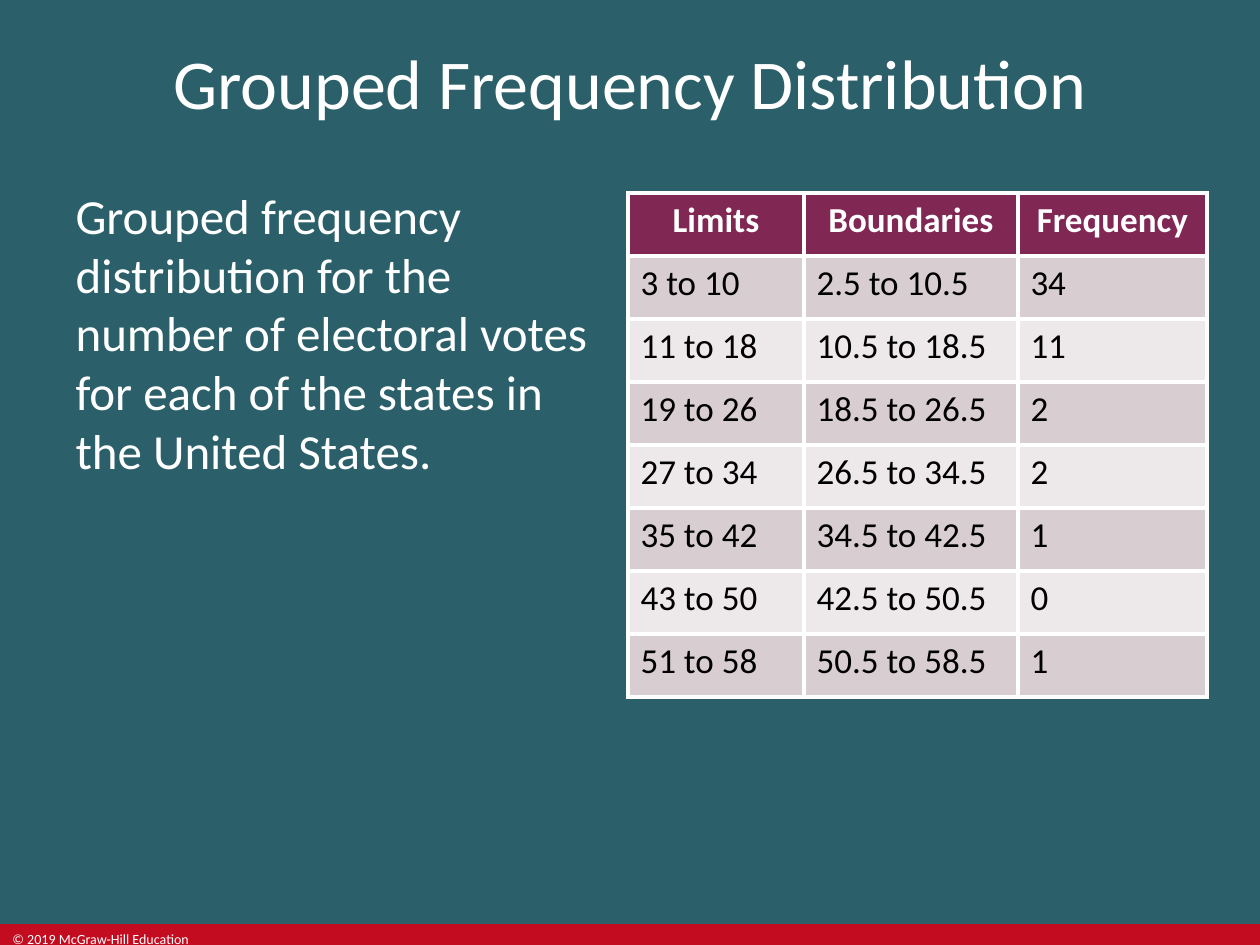
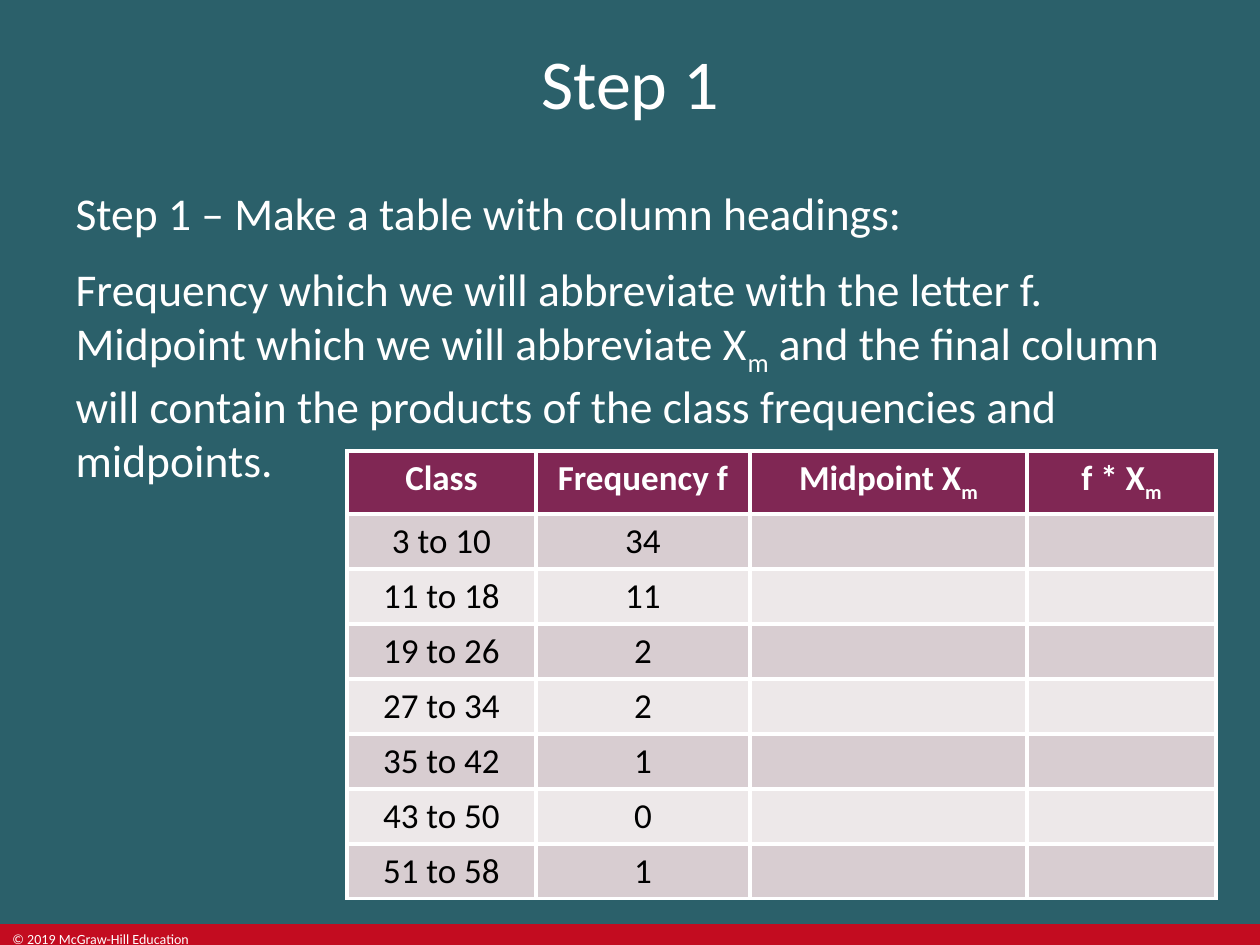
from lxml.etree import SubElement
from pptx import Presentation
from pptx.dml.color import RGBColor
from pptx.enum.shapes import MSO_SHAPE
from pptx.enum.text import MSO_ANCHOR, MSO_AUTO_SIZE, PP_ALIGN
from pptx.oxml.ns import qn
from pptx.util import Emu, Pt

EMU_PER_PX = 914400 / 126
SLIDE_WIDTH, SLIDE_HEIGHT = 1260, 945
FONT = "Calibri"

TEAL = RGBColor(0x2B, 0x60, 0x6A)
RED = RGBColor(0xC3, 0x0C, 0x20)
PLUM = RGBColor(0x80, 0x27, 0x54)
DARK_BAND = RGBColor(0xD8, 0xCD, 0xD1)
LIGHT_BAND = RGBColor(0xED, 0xE8, 0xE9)
WHITE = RGBColor(0xFF, 0xFF, 0xFF)
BLACK = RGBColor(0x00, 0x00, 0x00)

TITLE_BOX = (0, 0, SLIDE_WIDTH, 164)
FOOTER_BOX = (0, 924, SLIDE_WIDTH, 21)
COPYRIGHT_WIDTH = 214

CLASSES = [
    ("3 to 10", "2.5 to 10.5", "34"),
    ("11 to 18", "10.5 to 18.5", "11"),
    ("19 to 26", "18.5 to 26.5", "2"),
    ("27 to 34", "26.5 to 34.5", "2"),
    ("35 to 42", "34.5 to 42.5", "1"),
    ("43 to 50", "42.5 to 50.5", "0"),
    ("51 to 58", "50.5 to 58.5", "1"),
]


def px(length):
    return Emu(round(length * EMU_PER_PX))


def place(shape, box):
    shape.left, shape.top, shape.width, shape.height = map(px, box)


def add_runs(paragraph, text, size, color=WHITE, bold=False):
    """Add text as runs; a part between bars is a subscript."""
    for index, part in enumerate(text.split("|")):
        if not part:
            continue
        run = paragraph.add_run()
        run.text = part
        run.font.name = FONT
        run.font.size = Pt(size)
        run.font.bold = bold
        run.font.color.rgb = color
        if index % 2:
            run.font._element.set("baseline", "-25000")


def add_footer(slide, box):
    left, top, width, height = box
    band = slide.shapes.add_shape(MSO_SHAPE.RECTANGLE, *map(px, box))
    band.shadow.inherit = False
    band.fill.solid()
    band.fill.fore_color.rgb = RED
    band.line.fill.background()
    copyright_box = slide.shapes.add_textbox(*map(px, (left, top, COPYRIGHT_WIDTH, height)))
    copyright_box.text_frame.word_wrap = True
    add_runs(copyright_box.text_frame.paragraphs[0], "© 2019 McGraw-Hill Education", 8)


def add_title(slide, text, box):
    title = slide.shapes.title
    place(title, box)
    frame = title.text_frame
    frame.auto_size = MSO_AUTO_SIZE.NONE
    frame.vertical_anchor = MSO_ANCHOR.MIDDLE
    frame.paragraphs[0].alignment = PP_ALIGN.CENTER
    add_runs(frame.paragraphs[0], text, 40)


def add_body(slide, texts, size, box):
    body = slide.placeholders[1]
    place(body, box)
    frame = body.text_frame
    frame.auto_size = MSO_AUTO_SIZE.NONE
    for index, text in enumerate(texts):
        paragraph = frame.add_paragraph() if index else frame.paragraphs[0]
        properties = paragraph._p.get_or_add_pPr()
        properties.set("marL", "0")
        properties.set("indent", "0")
        SubElement(properties, qn("a:buNone"))
        paragraph.space_before = Pt(6 if index else 0)
        paragraph.space_after = Pt(6)
        add_runs(paragraph, text, size)


def add_borders(cell, color=WHITE, width=Pt(2.25)):
    properties = cell._tc.get_or_add_tcPr()
    for side in ("lnL", "lnR", "lnT", "lnB"):
        line = SubElement(properties, qn(f"a:{side}"), w=str(width))
        fill = SubElement(line, qn("a:solidFill"))
        SubElement(fill, qn("a:srgbClr"), val=str(color))


def add_frequency_table(slide, origin, column_widths, header_height, row_height,
                        rows, body_alignment):
    heights = [header_height] + [row_height] * (len(rows) - 1)
    box = (*origin, sum(column_widths), sum(heights))
    table = slide.shapes.add_table(len(rows), len(column_widths), *map(px, box)).table
    for column, width in zip(table.columns, column_widths):
        column.width = px(width)
    for row_index, (row, height, texts) in enumerate(zip(table.rows, heights, rows)):
        row.height = px(height)
        is_header = row_index == 0
        band = PLUM if is_header else DARK_BAND if row_index % 2 else LIGHT_BAND
        for cell, text in zip(row.cells, texts):
            add_borders(cell)
            cell.fill.solid()
            cell.fill.fore_color.rgb = band
            paragraph = cell.text_frame.paragraphs[0]
            paragraph.alignment = PP_ALIGN.CENTER if is_header else body_alignment
            add_runs(paragraph, text, 20, WHITE if is_header else BLACK, is_header)


def add_content_slide(presentation, title):
    slide = presentation.slides.add_slide(presentation.slide_layouts[1])
    add_footer(slide, FOOTER_BOX)
    add_title(slide, title, TITLE_BOX)
    return slide


def add_distribution_slide(presentation):
    slide = add_content_slide(presentation, "Grouped Frequency Distribution")
    add_body(slide, ["Grouped frequency distribution for the number of electoral votes "
                     "for each of the states in the United States."],
             28, (63, 179, 546, 724))
    add_frequency_table(slide, (628, 193), (176, 214, 189), 63, 63,
                        [("Limits", "Boundaries", "Frequency"), *CLASSES], PP_ALIGN.LEFT)


def add_step_slide(presentation):
    slide = add_content_slide(presentation, "Step 1")
    add_body(slide, ["Step 1 – Make a table with column headings:",
                     "Frequency which we will abbreviate with the letter f. "
                     "Midpoint which we will abbreviate X|m| and the final column will "
                     "contain the products of the class frequencies and midpoints."],
             26, (63, 179, 1134, 305))
    rows = [("Class", "Frequency f", "Midpoint X|m|", "f * X|m|")]
    rows += [(limits, frequency, "", "") for limits, _, frequency in CLASSES]
    add_frequency_table(slide, (347, 451), (189, 214, 277, 189), 63, 55,
                        rows, PP_ALIGN.CENTER)


def main():
    presentation = Presentation()
    presentation.slide_width = px(SLIDE_WIDTH)
    presentation.slide_height = px(SLIDE_HEIGHT)
    background = presentation.slide_master.background.fill
    background.solid()
    background.fore_color.rgb = TEAL
    add_distribution_slide(presentation)
    add_step_slide(presentation)
    presentation.save("out.pptx")


if __name__ == "__main__":
    main()
